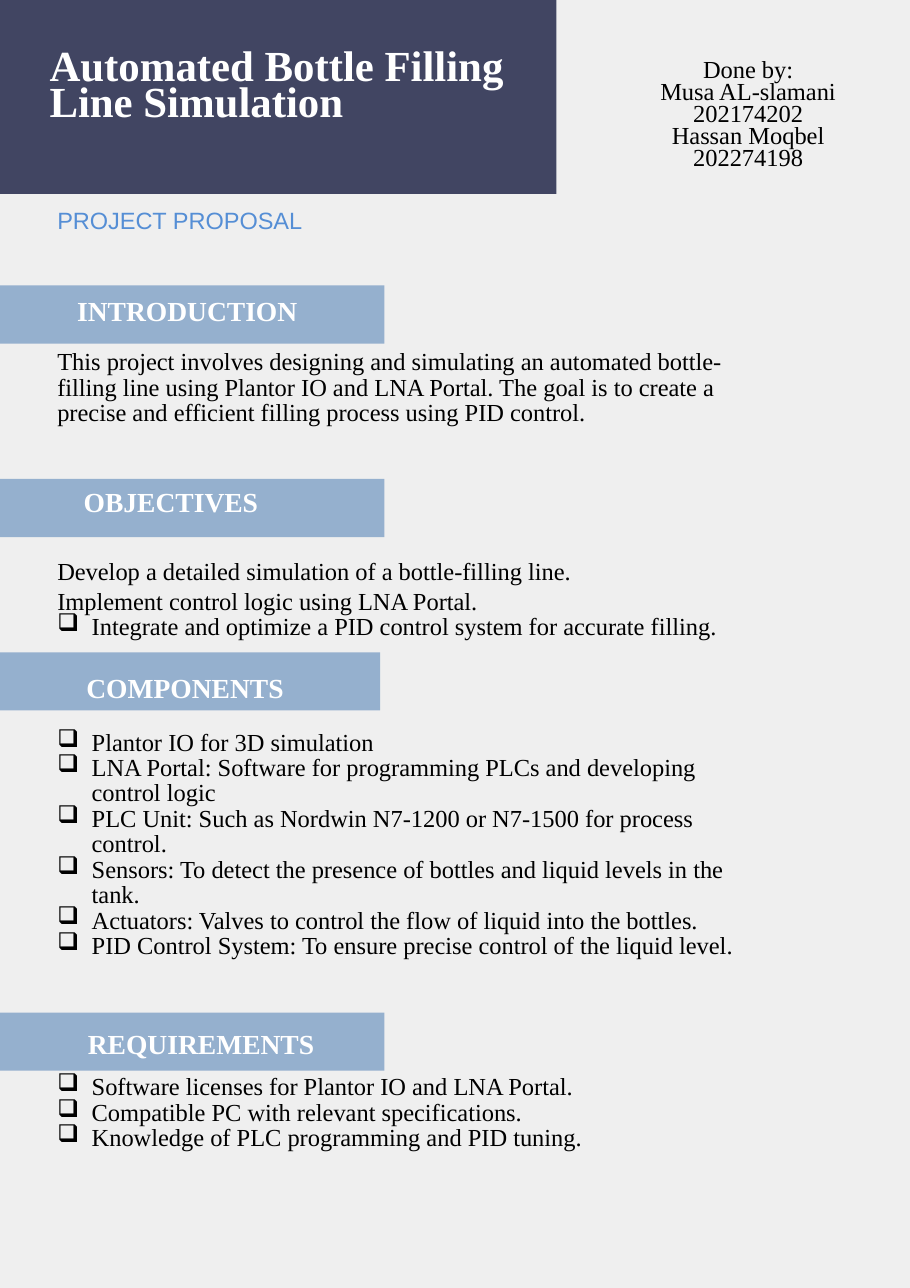
from lxml import etree
from pptx import Presentation
from pptx.dml.color import RGBColor
from pptx.enum.shapes import MSO_SHAPE
from pptx.enum.text import PP_ALIGN
from pptx.oxml.ns import qn
from pptx.util import Pt

RECTANGLE = MSO_SHAPE.RECTANGLE
LEFT, CENTER = PP_ALIGN.LEFT, PP_ALIGN.CENTER
COLORS = {
    "page": "EFEFEF",
    "header": "414562",
    "band": "95B0CE",
    "subtitle": "558ED5",
    "white": "FFFFFF",
    "black": "000000",
}
SERIF, SANS = "Times New Roman", "Arial"
MARGIN = 37.44
HANGING = 22.5
BODY_SPACING = Pt(16.6)
BAND_HEIGHT = 38

# Title, band top, band width, then label left, top, width, alignment, spacing
SECTIONS = [
    ("INTRODUCTION", 186.5, 251.3, 42.5, 190.8, 159.8, CENTER, 1.07),
    ("OBJECTIVES", 313, 251.3, 54.7, 316.8, 120, LEFT, 1.0),
    ("COMPONENTS", 426.3, 248.4, 7.2, 429.8, 227.5, CENTER, Pt(30.4)),
    ("REQUIREMENTS", 661.7, 251.3, 7.2, 668.2, 248.4, CENTER, Pt(24.8)),
]
INTRODUCTION = [
    "This project involves designing and simulating an automated "
    "bottle-filling line using Plantor IO and LNA Portal. The goal is to "
    "create a precise and efficient filling process using PID control."
]
OBJECTIVES = [
    "Develop a detailed simulation of a bottle-filling line.",
    "Implement control logic using LNA Portal.",
    "Integrate and optimize a PID control system for accurate filling.",
]
COMPONENTS = [
    "Plantor IO for 3D simulation",
    "LNA Portal: Software for programming PLCs and developing control logic",
    "PLC Unit: Such as Nordwin N7-1200 or N7-1500 for process control.",
    "Sensors: To detect the presence of bottles and liquid levels in the tank.",
    "Actuators: Valves to control the flow of liquid into the bottles.",
    "PID Control System: To ensure precise control of the liquid level.",
]
REQUIREMENTS = [
    "Software licenses for Plantor IO and LNA Portal.",
    "Compatible PC with relevant specifications.",
    "Knowledge of PLC programming and PID tuning.",
]
AUTHORS = ["Done by:", "Musa AL-slamani 202174202", "Hassan Moqbel 202274198"]


def rgb(name):
    return RGBColor.from_string(COLORS[name])


def add_block(page, top, width, height, color):
    """Filled rectangle that starts at the left edge of the page."""
    block = page.shapes.add_shape(RECTANGLE, 0, Pt(top), Pt(width), Pt(height))
    block.shadow.inherit = False
    block.fill.solid()
    block.fill.fore_color.rgb = rgb(color)
    block.line.fill.background()


def add_text(page, lines, left, top, width, height, size=16, color="black",
             font=SERIF, bold=False, align=LEFT, spacing=BODY_SPACING):
    """Text box without insets, one paragraph per line."""
    box = page.shapes.add_textbox(Pt(left), Pt(top), Pt(width), Pt(height))
    frame = box.text_frame
    frame.word_wrap = True
    frame.margin_left = frame.margin_right = 0
    frame.margin_top = frame.margin_bottom = 0
    frame.text = "\n".join(lines)
    for para in frame.paragraphs:
        para.alignment = align
        para.line_spacing = spacing
        for span in para.runs:
            span.font.name = font
            span.font.size = Pt(size)
            span.font.bold = bold
            span.font.color.rgb = rgb(color)
    return frame.paragraphs


def add_bullets(paragraphs):
    for para in paragraphs:
        properties = para._p.get_or_add_pPr()
        properties.set("marL", str(Pt(HANGING)))
        properties.set("indent", str(-Pt(HANGING)))
        etree.SubElement(properties, qn("a:buChar")).set("char", "❑")


def add_section_heading(page, title, band_top, band_width,
                        left, top, width, align, spacing):
    add_block(page, band_top, band_width, BAND_HEIGHT, "band")
    add_text(page, [title], left, top, width, 23, size=18, color="white",
             bold=True, align=align, spacing=spacing)


def main():
    deck = Presentation()
    deck.slide_width, deck.slide_height = Pt(594.72), Pt(841.68)
    page = deck.slides.add_slide(deck.slide_layouts[6])
    page.background.fill.solid()
    page.background.fill.fore_color.rgb = rgb("page")

    # Header
    add_block(page, 0, 363.6, 126.7, "header")
    add_text(page, ["Automated Bottle Filling Line Simulation"],
             32.4, 36, 331.2, 49, size=28, color="white", bold=True,
             spacing=Pt(23.2))
    add_text(page, AUTHORS, 416.2, 40.3, 145.4, 72, align=CENTER,
             spacing=Pt(14.4))
    add_text(page, ["PROJECT PROPOSAL"], MARGIN, 129.6, 182.2, 23, size=15.4,
             color="subtitle", font=SANS, spacing=Pt(23.6))

    # Section headings
    for section in SECTIONS:
        add_section_heading(page, *section)

    # Section contents
    add_text(page, INTRODUCTION, MARGIN, 229, 445.7, 52)
    objectives = add_text(page, OBJECTIVES, MARGIN, 363.6, 445.7, 54)
    for para in objectives[:2]:
        para.line_spacing = 1.0
    add_bullets(objectives[2:])
    add_bullets(add_text(page, COMPONENTS, MARGIN, 477.4, 457.9, 154.8))
    add_bullets(add_text(page, REQUIREMENTS, MARGIN, 702.7, 472.3, 52))

    deck.save("out.pptx")


if __name__ == "__main__":
    main()
